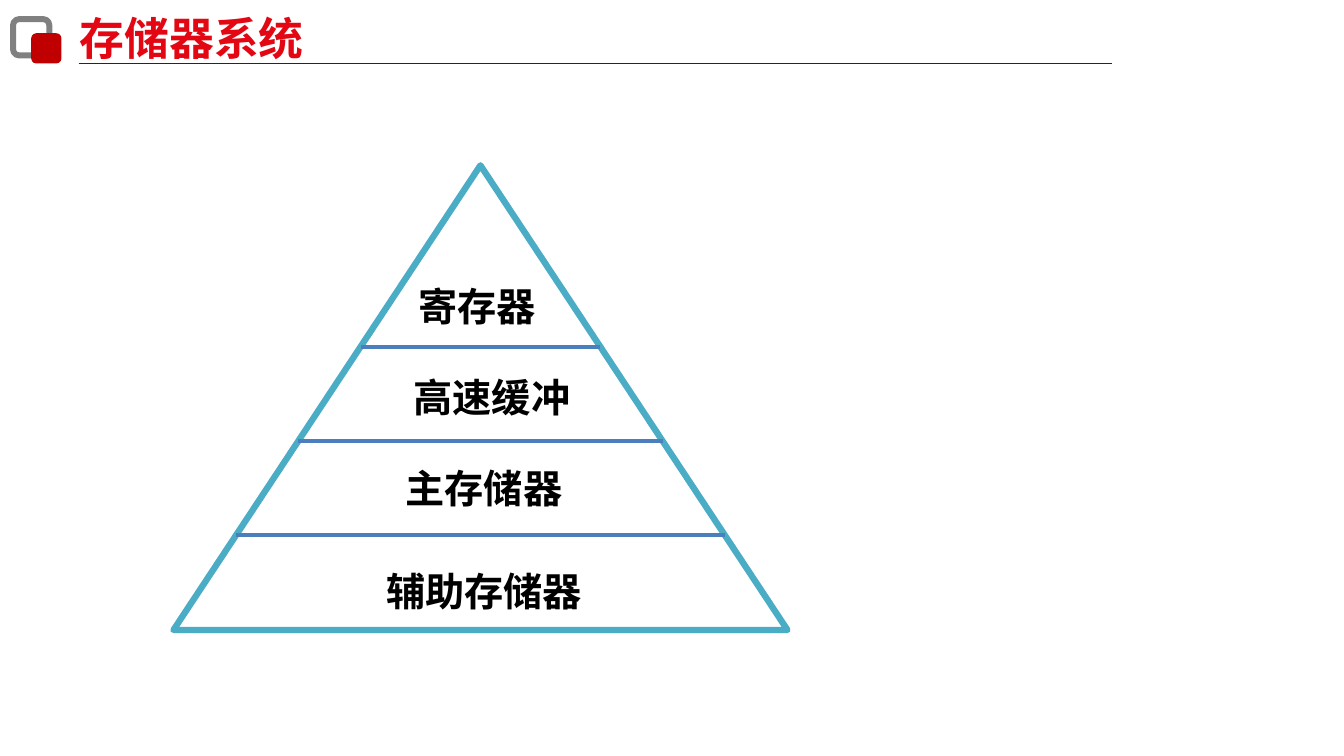
from dataclasses import dataclass
from typing import Optional

from lxml.etree import SubElement
from pptx import Presentation
from pptx.dml.color import RGBColor as Rgb
from pptx.enum.shapes import MSO_CONNECTOR as Conn, MSO_SHAPE as Kind
from pptx.enum.text import MSO_ANCHOR as Anchor, PP_ALIGN as Align
from pptx.oxml.ns import qn
from pptx.util import Inches, Pt

HUES = {
    "title": "E30613", "mark": "C00000", "ring": "808080", "rule": "262626",
    "side": "4BACC6", "level": "4B7EBC", "face": "FFFFFF", "label": "000000",
}
CJK = "Noto Sans CJK SC"
LEFT, TOP, WIDTH, HEIGHT = 1.72, 1.64, 6.09, 4.61
FIRST, STEP = 3.44, 0.935


@dataclass
class Form:
    kind: Kind
    box: tuple
    fill: Optional[str] = None
    line: Optional[str] = None
    width: float = 0


@dataclass
class Label:
    text: str
    box: tuple


FORMS = [
    Form(Kind.ROUNDED_RECTANGLE, (0.13, 0.19, 0.36, 0.36), line="ring", width=4.25),
    Form(Kind.ROUNDED_RECTANGLE, (0.31, 0.33, 0.3, 0.3), fill="mark"),
    Form(Kind.ISOSCELES_TRIANGLE, (LEFT, TOP, WIDTH, HEIGHT), "face", "side", 4.5),
]
LABELS = [
    Label("寄存器", (3.44, 2.68, 2.58, 0.7)),
    Label("高速缓冲", (3.28, 3.59, 3.2, 0.7)),
    Label("主存储器", (3.2, 4.45, 3.2, 0.78)),
    Label("辅助存储器", (3.2, 5.47, 3.2, 0.78)),
]


def color(name: str) -> Rgb:
    return Rgb.from_string(HUES[name])


def draw_form(slide, form: Form) -> None:
    shape = slide.shapes.add_shape(form.kind, *map(Inches, form.box))
    shape.shadow.inherit = False
    for part, name in ((shape.fill, form.fill), (shape.line.fill, form.line)):
        if name:
            part.solid()
            part.fore_color.rgb = color(name)
        else:
            part.background()
    if form.line:
        shape.line.width = Pt(form.width)


def draw_line(slide, start: float, end: float, y: float, name: str, width: float) -> None:
    ends = map(Inches, (start, y, end, y))
    line = slide.shapes.add_connector(Conn.STRAIGHT, *ends)
    line.line.color.rgb = color(name)
    line.line.width = Pt(width)
    SubElement(line._element.spPr, qn("a:effectLst"))


def set_text(frame, text: str, name: str, look: dict, font: dict, align: Align) -> None:
    frame.text = text
    for key, value in look.items():
        setattr(frame, key, value)
    para = frame.paragraphs[0]
    para.alignment = align
    run = para.runs[0]
    for key, value in font.items():
        setattr(run.font, key, value)
    run.font.color.rgb = color(name)
    SubElement(run._r.get_or_add_rPr(), qn("a:ea"), typeface=CJK)


def draw_title(slide) -> None:
    title = slide.shapes.title
    place = {"left": 0.69, "top": 0.05, "width": 2.45, "height": 0.64}
    for key, value in place.items():
        setattr(title, key, Inches(value))
    look = {"word_wrap": False, "vertical_anchor": Anchor.MIDDLE}
    font = {"size": Pt(32), "bold": True, "name": CJK}
    set_text(title.text_frame, "存储器系统", "title", look, font, Align.LEFT)


def draw_label(slide, label: Label) -> None:
    box = slide.shapes.add_textbox(*map(Inches, label.box))
    look = {"word_wrap": True, "vertical_anchor": Anchor.MIDDLE}
    font = {"size": Pt(28), "bold": True, "name": "Calibri"}
    set_text(box.text_frame, label.text, "label", look, font, Align.CENTER)


def main() -> None:
    deck = Presentation()
    deck.slide_width, deck.slide_height = Inches(13.33), Inches(7.5)
    slide = deck.slides.add_slide(deck.slide_layouts[5])
    draw_title(slide)
    draw_line(slide, 0.78, 11.03, 0.63, "rule", 0.5)
    for form in FORMS:
        draw_form(slide, form)
    mid = LEFT + WIDTH / 2
    for row in range(len(LABELS) - 1):
        y = FIRST + row * STEP
        half = WIDTH / 2 * (y - TOP) / HEIGHT
        draw_line(slide, mid - half, mid + half, y, "level", 3)
    for label in LABELS:
        draw_label(slide, label)
    deck.save("out.pptx")


if __name__ == "__main__":
    main()
